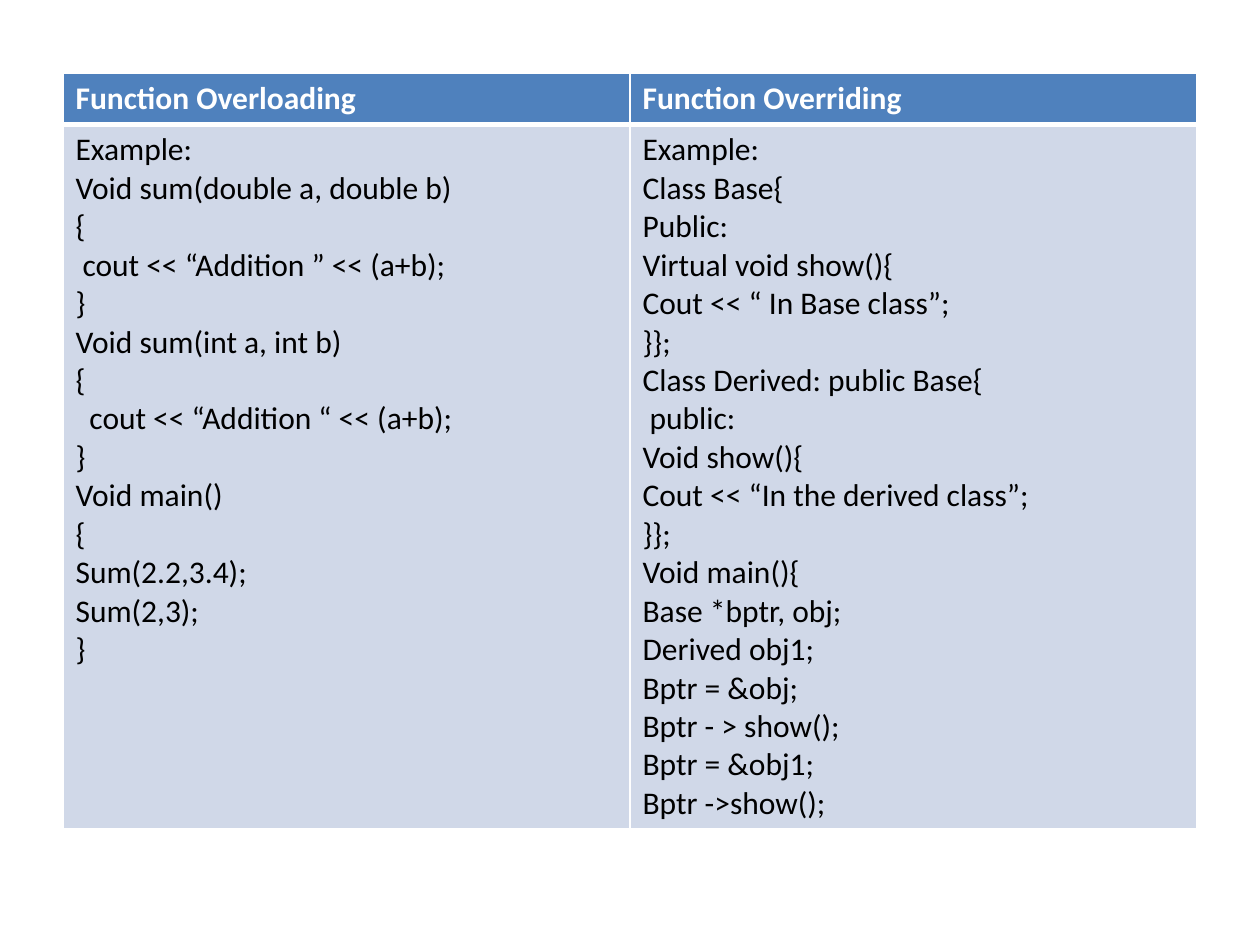
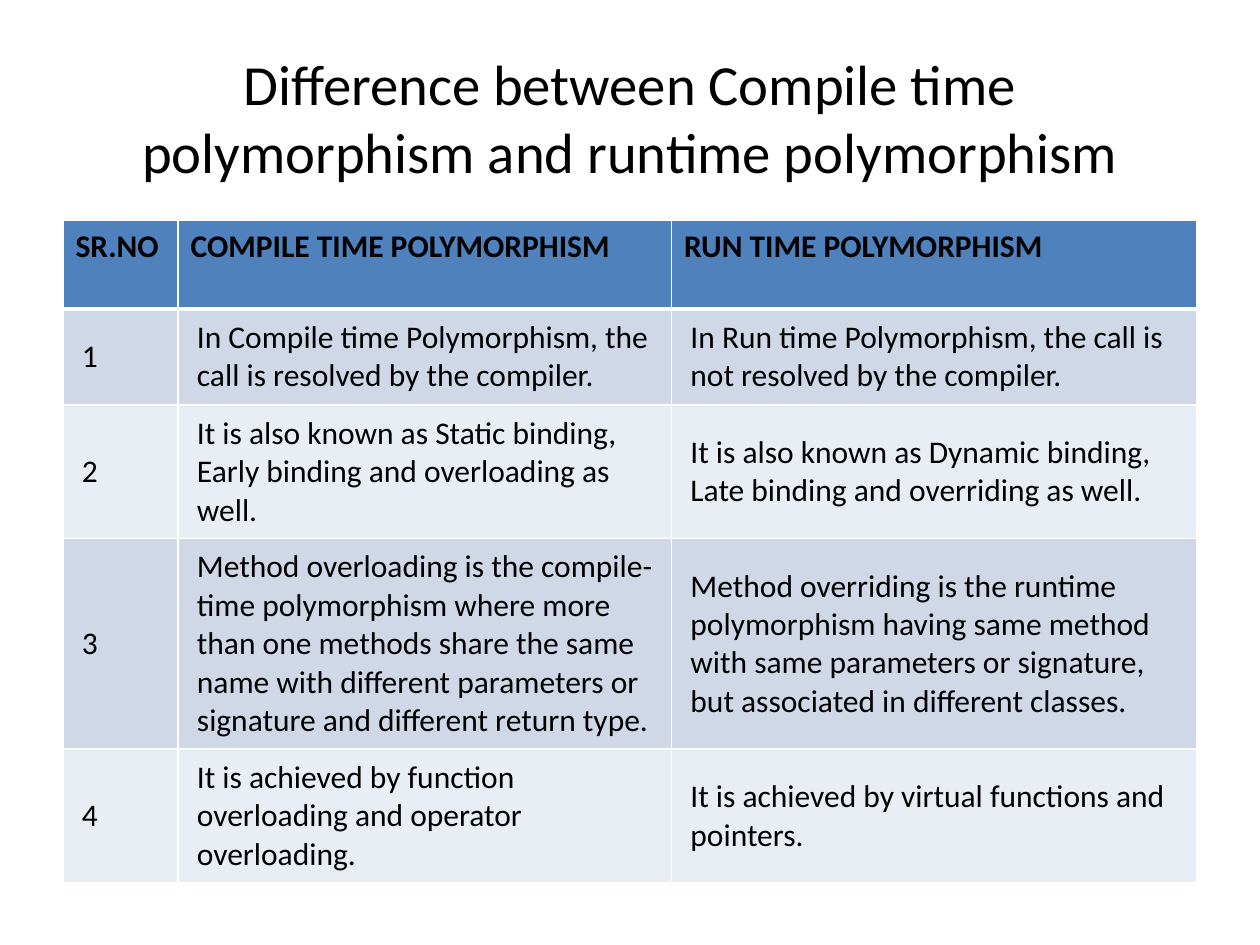
from dataclasses import dataclass

from lxml.etree import SubElement
from pptx import Presentation
from pptx.dml.color import RGBColor
from pptx.enum.text import MSO_ANCHOR, PP_ALIGN
from pptx.oxml.ns import qn
from pptx.util import Cm, Pt


@dataclass(frozen=True)
class Theme:
    font: str = "Calibri"
    title_size: float = 32.4
    table_size: float = 18
    text: str = "000000"
    light_text: str = "FFFFFF"
    border: str = "FFFFFF"
    header_fill: str = "4F81BD"
    band_fills: tuple = ("D0D8E8", "E9EDF4")
    thin_border: float = 1
    header_border: float = 3
    left: float = 1.27
    width: float = 22.86
    indent_step: float = 0.14


class SlideBuilder:
    def __init__(self, presentation, theme):
        self.presentation = presentation
        self.theme = theme
        self.slide = None

    def new_slide(self):
        self.slide = self.presentation.slides.add_slide(self.presentation.slide_layouts[6])

    def add_run(self, paragraph, text, size, color, bold=False):
        run = paragraph.add_run()
        run.text = text
        run.font.name = self.theme.font
        run.font.size = Pt(size)
        run.font.bold = bold
        run.font.color.rgb = RGBColor.from_string(color)

    def add_title(self, text):
        shape = self.slide.shapes.add_textbox(
            Cm(self.theme.left), Cm(0.76), Cm(self.theme.width), Cm(3.18))
        frame = shape.text_frame
        frame.word_wrap = True
        frame.vertical_anchor = MSO_ANCHOR.MIDDLE
        paragraph = frame.paragraphs[0]
        paragraph.alignment = PP_ALIGN.CENTER
        self.add_run(paragraph, text, self.theme.title_size, self.theme.text)

    def set_borders(self, cell, top, bottom):
        properties = cell._tc.get_or_add_tcPr()
        thin = self.theme.thin_border
        for tag, width in (("lnL", thin), ("lnR", thin), ("lnT", top), ("lnB", bottom)):
            line = SubElement(properties, qn(f"a:{tag}"), w=str(Pt(width)))
            fill = SubElement(line, qn("a:solidFill"))
            SubElement(fill, qn("a:srgbClr"), val=self.theme.border)

    def fill_cell(self, cell, lines, color, bold):
        frame = cell.text_frame
        for index, line in enumerate(lines):
            text, indent = line if isinstance(line, tuple) else (line, 0)
            paragraph = frame.add_paragraph() if index else frame.paragraphs[0]
            if indent:
                margin = Cm(indent * self.theme.indent_step)
                paragraph._p.get_or_add_pPr().set("marL", str(margin))
            self.add_run(paragraph, text, self.theme.table_size, color, bold)

    def add_table(self, top, column_widths, row_heights, rows, header_color, padded=False):
        theme = self.theme
        table = self.slide.shapes.add_table(
            len(rows), len(column_widths), Cm(theme.left), Cm(top),
            Cm(theme.width), Cm(sum(row_heights))).table
        for column, width in zip(table.columns, column_widths):
            column.width = Cm(width)
        for row_index, (row, height) in enumerate(zip(rows, row_heights)):
            table.rows[row_index].height = Cm(height)
            is_header = row_index == 0
            fill = theme.header_fill if is_header else theme.band_fills[(row_index - 1) % 2]
            color = header_color if is_header else theme.text
            top_border = theme.header_border if row_index == 1 else theme.thin_border
            bottom_border = theme.header_border if is_header else theme.thin_border
            for column_index, content in enumerate(row):
                cell = table.cell(row_index, column_index)
                if padded and not is_header:
                    cell.vertical_anchor = MSO_ANCHOR.MIDDLE
                    cell.margin_left = cell.margin_right = Cm(0.38)
                    cell.margin_top = cell.margin_bottom = Cm(0.18)
                self.set_borders(cell, top_border, bottom_border)
                cell.fill.solid()
                cell.fill.fore_color.rgb = RGBColor.from_string(fill)
                lines = content if isinstance(content, list) else [content]
                self.fill_cell(cell, lines, color, is_header)


OVERLOADING_CODE = [
    "Example:",
    "Void sum(double a, double b)",
    "{",
    ("cout << “Addition ” << (a+b);", 1),
    "}",
    "Void sum(int a, int b)",
    "{",
    ("cout << “Addition “ << (a+b);", 2),
    "}",
    "Void main()",
    "{",
    "Sum(2.2,3.4);",
    "Sum(2,3);",
    "}",
]

OVERRIDING_CODE = [
    "Example:",
    "Class Base{",
    "Public:",
    "Virtual void show(){",
    "Cout << “ In Base class”;",
    "}};",
    "Class Derived: public Base{",
    ("public:", 1),
    "Void show(){",
    "Cout << “In the derived class”;",
    "}};",
    "Void main(){",
    "Base *bptr, obj;",
    "Derived obj1;",
    "Bptr = &obj;",
    "Bptr - > show();",
    "Bptr = &obj1;",
    "Bptr ->show();",
]

POLYMORPHISM_ROWS = [
    ("SR.NO", "COMPILE TIME POLYMORPHISM", "RUN TIME POLYMORPHISM"),
    ("1",
     "In Compile time Polymorphism, the call is resolved by the compiler.",
     "In Run time Polymorphism, the call is not resolved by the compiler."),
    ("2",
     "It is also known as Static binding, Early binding and overloading as well.",
     "It is also known as Dynamic binding, Late binding and overriding as well."),
    ("3",
     "Method overloading is the compile-time polymorphism where more than one methods "
     "share the same name with different parameters or signature and different return type.",
     "Method overriding is the runtime polymorphism having same method with same "
     "parameters or signature, but associated in different classes."),
    ("4",
     "It is achieved by function overloading and operator overloading.",
     "It is achieved by virtual functions and pointers."),
]


def main():
    presentation = Presentation()
    presentation.slide_width = Cm(25.4)
    presentation.slide_height = Cm(19.05)
    theme = Theme()
    builder = SlideBuilder(presentation, theme)

    builder.new_slide()
    builder.add_table(
        1.48, (11.43, 11.43), (1.03, 14.2),
        [("Function Overloading", "Function Overriding"),
         (OVERLOADING_CODE, OVERRIDING_CODE)],
        theme.light_text)

    builder.new_slide()
    builder.add_title("Difference between Compile time polymorphism and runtime polymorphism")
    builder.add_table(
        4.45, (2.32, 9.95, 10.59), (1.78, 1.93, 2.7, 4.24, 2.7),
        POLYMORPHISM_ROWS, theme.text, padded=True)

    presentation.save("out.pptx")


if __name__ == "__main__":
    main()
